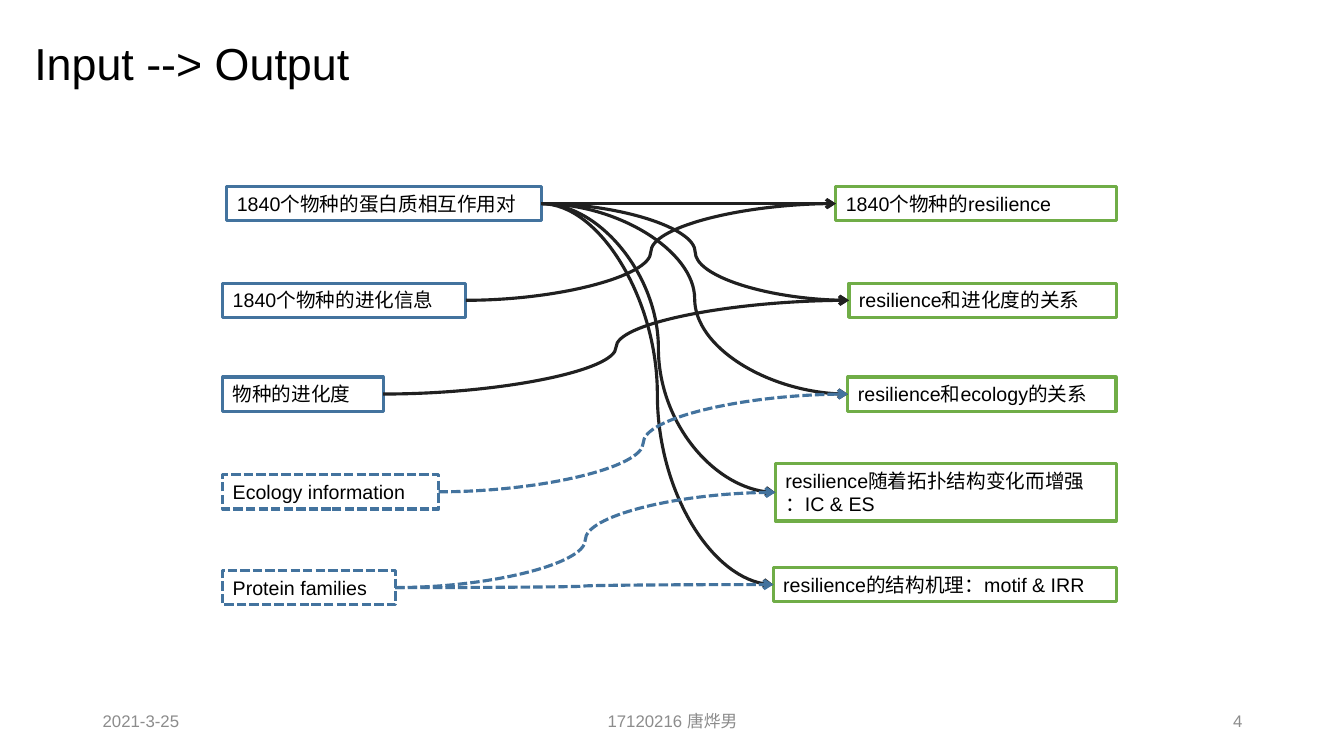
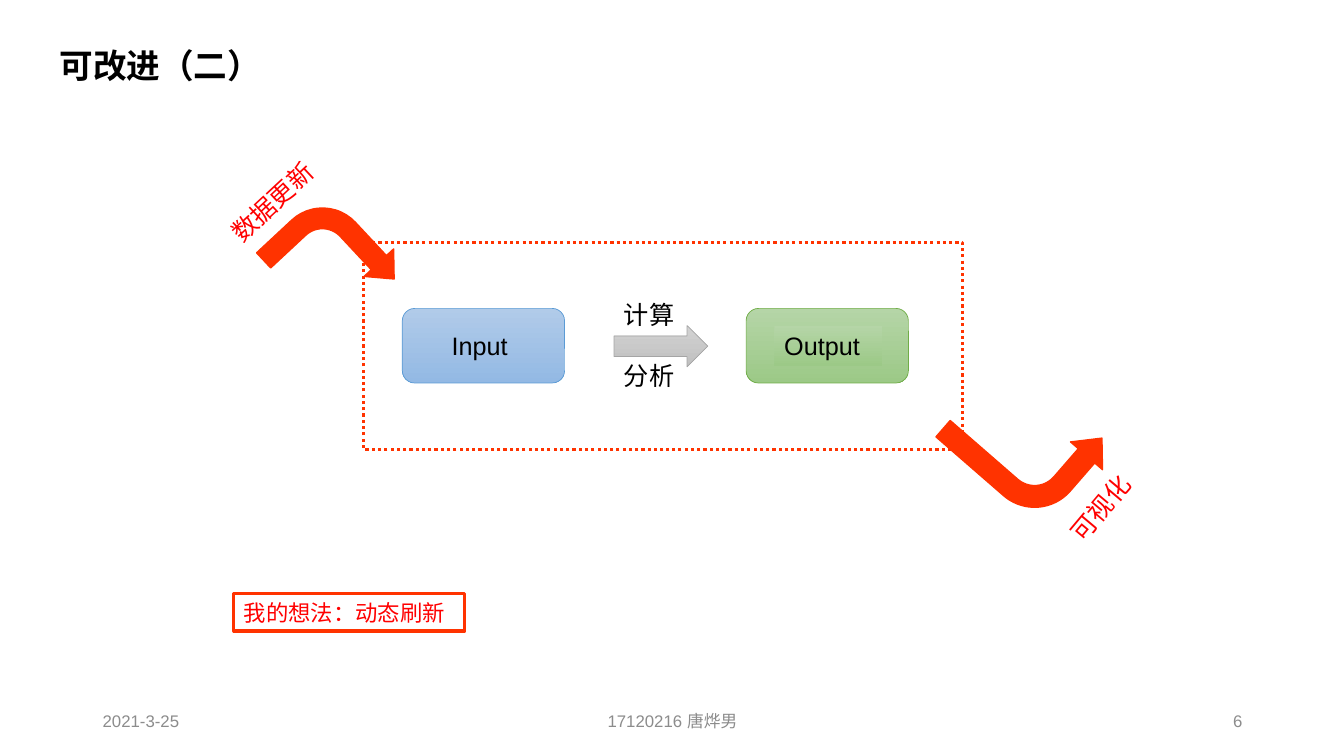
"""Build two slides: how inputs feed outputs, and a possible improvement."""
from dataclasses import dataclass

from lxml import etree
from pptx import Presentation
from pptx.dml.color import RGBColor
from pptx.enum.dml import MSO_LINE
from pptx.enum.shapes import MSO_CONNECTOR, MSO_SHAPE
from pptx.enum.text import MSO_ANCHOR, MSO_AUTO_SIZE, PP_ALIGN
from pptx.oxml.ns import qn
from pptx.util import Pt

EMU_PER_PX = 9144
TITLE_ONLY = 5
LEFT_SIDE, RIGHT_SIDE = 1, 3
DASHED, DOTTED = MSO_LINE.SQUARE_DOT, MSO_LINE.ROUND_DOT
CURVE = MSO_CONNECTOR.CURVE
PROCESS = MSO_SHAPE.FLOWCHART_ALTERNATE_PROCESS
RIGHT_ARROW, BENT_ARROW = MSO_SHAPE.RIGHT_ARROW, MSO_SHAPE.BENT_ARROW
RECTANGLE = MSO_SHAPE.RECTANGLE
MIDDLE = MSO_ANCHOR.MIDDLE
FIT_SHAPE, FIXED_SIZE = MSO_AUTO_SIZE.SHAPE_TO_FIT_TEXT, MSO_AUTO_SIZE.NONE
LEFT, CENTER, RIGHT = PP_ALIGN.LEFT, PP_ALIGN.CENTER, PP_ALIGN.RIGHT


@dataclass(frozen=True)
class Theme:
    """Colours, fonts and type sizes of the deck."""

    font: str = "Arial"
    heading_font: str = "Montserrat"
    text: str = "000000"
    footer: str = "8C8C8C"
    link: str = "202020"
    source: str = "43739E"
    result: str = "70AD47"
    accent: str = "FF3300"
    accent_text: str = "FF0000"
    input_line: str = "5B9BD5"
    arrow_line: str = "A5A5A5"
    input_fill: tuple = ("B1CBE9", "93B9E4")
    output_fill: tuple = ("B5D5A7", "9CC987")
    arrow_fill: tuple = ("D2D2D2", "C0C0C0")
    title_size: int = 32
    heading_size: int = 24
    label_size: int = 18
    note_size: int = 16
    box_size: int = 14
    footer_size: int = 12
    line: float = 2.25
    thin_line: float = 0.5


THEME = Theme()
BENT_ARROW_SHAPE = (0.201, 0.196, 0.217, 0.438)
RIGHT_EDGE = 1107
INPUTS = [
    ("1840个物种的蛋白质相互作用对", 225, 185, 312, None),
    ("1840个物种的进化信息", 221, 281, 241, None),
    ("物种的进化度", 221, 374, 159, None),
    ("Ecology information", 221, 471, 214, DASHED),
    ("Protein families", 221, 566, 171, DASHED),
]
OUTPUTS = [
    ("1840个物种的resilience", 185, 278, 34),
    ("resilience和进化度的关系", 281, 265, 34),
    ("resilience和ecology的关系", 374, 266, 34),
    ("resilience随着拓扑结构变化而增强\v：IC & ES", 460, 338, 57),
    ("resilience的结构机理：motif & IRR", 563, 340, 34),
]
LINKS = [(0, 0), (2, 1), (0, 1), (0, 2), (0, 3), (0, 4), (1, 0),
         (3, 2), (4, 3), (4, 4)]


def px(*lengths):
    """Turn px lengths into a list of EMU lengths."""
    return [length * EMU_PER_PX for length in lengths]


def style_text(shape, text, size, color, align=LEFT, font=THEME.font, bold=False):
    """Set the text of a shape and format its runs."""
    shape.text_frame.text = text
    for para in shape.text_frame.paragraphs:
        para.alignment = align
        for span in para.runs:
            span.font.name = font
            span.font.size = Pt(size)
            span.font.bold = bold
            span.font.color.rgb = RGBColor.from_string(color)


def style_line(line, color, width=THEME.line, dash=None):
    """Give a line its colour, width and dash."""
    line.color.rgb = RGBColor.from_string(color)
    line.width = Pt(width)
    if dash is not None:
        line.dash_style = dash


def fill_gradient(shape, colors):
    """Fill a shape from top to bottom with two colours."""
    shape.fill.gradient()
    shape.fill.gradient_angle = 270
    for stop, color in zip(shape.fill.gradient_stops, colors):
        stop.color.rgb = RGBColor.from_string(color)


def add_text(shapes, text, place, size, color=THEME.text, wrap=True, rotation=0):
    """Add a text box that grows with its text."""
    box = shapes.add_textbox(*px(*place))
    box.text_frame.word_wrap = wrap
    box.text_frame.auto_size = FIT_SHAPE
    box.rotation = rotation
    style_text(box, text, size, color)
    return box


def add_label(shapes, text, place, color=THEME.text, rotation=0):
    """Add a one-line label of the improvement diagram."""
    return add_text(shapes, text, place, THEME.label_size, color, False, rotation)


def add_framed_text(shapes, text, place, frame, dash=None):
    """Add a text box with a coloured frame."""
    box = add_text(shapes, text, place, THEME.box_size)
    style_line(box.line, frame, dash=dash)
    return box


def add_gradient_shape(shapes, kind, place, colors, outline):
    """Add a preset shape with a gradient and a thin outline."""
    shape = shapes.add_shape(kind, *px(*place))
    shape.shadow.inherit = False
    fill_gradient(shape, colors)
    style_line(shape.line, outline, THEME.thin_line)


def add_bent_arrow(shapes, place, rotation, flipped=False):
    """Add a rotated bent arrow in the accent colour."""
    arrow = shapes.add_shape(BENT_ARROW, *px(*place))
    arrow.shadow.inherit = False
    arrow.rotation = rotation
    for index, value in enumerate(BENT_ARROW_SHAPE):
        arrow.adjustments[index] = value
    arrow.fill.solid()
    arrow.fill.fore_color.rgb = RGBColor.from_string(THEME.accent)
    style_line(arrow.line, THEME.accent, 1)
    if flipped:
        arrow._element.spPr.find(qn("a:xfrm")).set("flipV", "1")


def add_link(shapes, start, end, color, dash):
    """Join two boxes with a curved arrow."""
    link = shapes.add_connector(CURVE, 0, 0, 0, 0)
    link.begin_connect(start, RIGHT_SIDE)
    link.end_connect(end, LEFT_SIDE)
    style_line(link.line, color, dash=dash)
    outline = link.line._get_or_add_ln()
    etree.SubElement(outline, qn("a:tailEnd"), type="arrow")
    etree.SubElement(link._element.spPr, qn("a:effectLst"))


def add_page(deck, title, place, number, size, font, bold=False, spacing=1.0):
    """Add a slide with its title and footers."""
    page = deck.slides.add_slide(deck.slide_layouts[TITLE_ONLY])
    heading = page.shapes.title
    heading.left, heading.top, heading.width, heading.height = px(*place)
    heading.text_frame.auto_size = FIXED_SIZE
    heading.text_frame.vertical_anchor = MIDDLE
    style_text(heading, title, size, THEME.text, font=font, bold=bold)
    heading.text_frame.paragraphs[0].line_spacing = spacing
    footers = [("2021-3-25", 92, 300, LEFT),
               ("17120216 唐烨男", 442, 450, CENTER),
               (str(number), 942, 300, RIGHT)]
    for text, left, width, align in footers:
        footer = page.shapes.add_textbox(*px(left, 695, width, 40))
        footer.text_frame.word_wrap = True
        footer.text_frame.vertical_anchor = MIDDLE
        style_text(footer, text, THEME.footer_size, THEME.footer, align)
    return page


def build_flow_page(deck):
    """Build the slide that maps inputs to outputs."""
    page = add_page(deck, "Input --> Output", (24, 30, 387, 64), 4,
                    THEME.title_size, THEME.font)
    shapes = page.shapes
    inputs = [add_framed_text(shapes, text, (left, top, width, 34), THEME.source, dash)
              for text, left, top, width, dash in INPUTS]
    outputs = [add_framed_text(shapes, text, (RIGHT_EDGE - width, top, width, height),
                               THEME.result)
               for text, top, width, height in OUTPUTS]
    for start, end in LINKS:
        dash = INPUTS[start][-1]
        color = THEME.link if dash is None else THEME.source
        add_link(shapes, inputs[start], outputs[end], color, dash)


def build_improvement_page(deck):
    """Build the slide on data refresh and visualisation."""
    page = add_page(deck, "可改进（二）", (49, 36, 226, 62), 6,
                    THEME.heading_size, THEME.heading_font, True, 0.9)
    core = page.shapes.add_group_shape().shapes
    add_gradient_shape(core, PROCESS, (399, 306, 161, 74),
                       THEME.input_fill, THEME.input_line)
    add_label(core, "Input", (438, 323, 85, 40))
    add_gradient_shape(core, PROCESS, (740, 306, 161, 74),
                       THEME.output_fill, THEME.result)
    output = add_label(core, "Output", (768, 323, 107, 40))
    fill_gradient(output, THEME.output_fill)
    add_gradient_shape(core, RIGHT_ARROW, (609, 323, 93, 41),
                       THEME.arrow_fill, THEME.arrow_line)
    add_label(core, "计算", (609, 292, 70, 40))
    add_label(core, "分析", (609, 353, 70, 40))

    update = page.shapes.add_group_shape().shapes
    border = update.add_shape(RECTANGLE, *px(361, 241, 594, 205))
    border.shadow.inherit = False
    border.fill.background()
    style_line(border.line, THEME.accent, dash=DOTTED)
    add_bent_arrow(update, (274, 206, 112, 102), 47)
    add_label(update, "数据更新", (210, 180, 120, 40), THEME.accent_text, 317)
    add_bent_arrow(update, (965, 368, 107, 146), 311, flipped=True)
    add_label(update, "可视化", (1044, 484, 95, 40), THEME.accent_text, 310)

    note = add_text(page.shapes, "我的想法：动态刷新", (232, 589, 229, 37),
                    THEME.note_size, THEME.accent_text)
    style_line(note.line, THEME.accent)


def main():
    """Build the deck and save it."""
    deck = Presentation()
    deck.slide_width, deck.slide_height = px(1333, 750)
    build_flow_page(deck)
    build_improvement_page(deck)
    deck.save("out.pptx")


if __name__ == "__main__":
    main()
